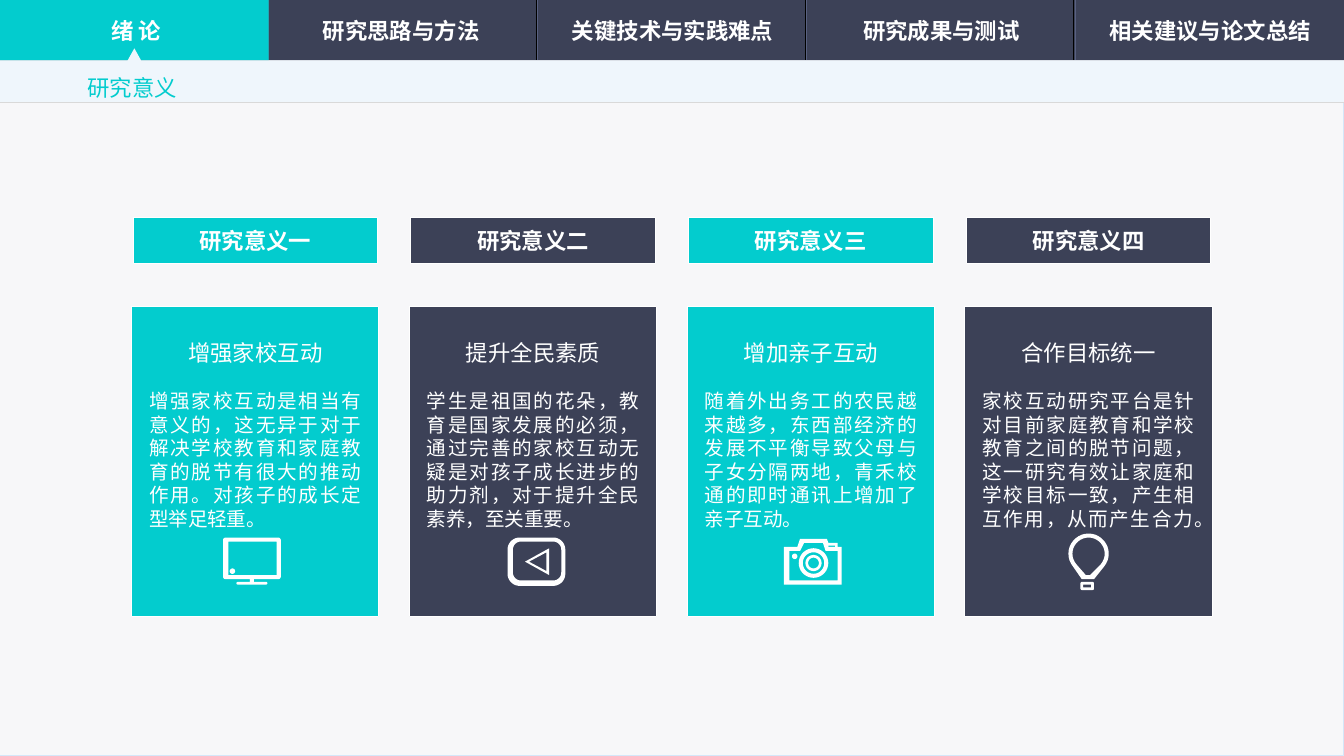
from dataclasses import dataclass
from math import cos, radians, sin

from lxml.etree import SubElement
from pptx import Presentation
from pptx.dml.color import RGBColor
from pptx.enum.shapes import MSO_CONNECTOR, MSO_SHAPE
from pptx.enum.text import MSO_ANCHOR, MSO_AUTO_SIZE, PP_ALIGN
from pptx.oxml.ns import qn
from pptx.util import Inches, Pt

Contour = list[tuple[float, float]]


@dataclass(frozen=True)
class Theme:
    teal: str = "03CCCE"
    navy: str = "3C4157"
    white: str = "FFFFFF"
    page: str = "F7F7F9"
    page_edge: str = "D4E7F9"
    strip: str = "EFF6FC"
    strip_edge: str = "D9D9D9"
    groove_dark: str = "000000"
    groove_light: str = "596181"
    font: str = "Noto Sans CJK SC"
    label_font: str = "Roboto Condensed"
    heading_size: float = 12
    body_size: float = 10.5
    leading: float = 1.2


THEME = Theme()


@dataclass(frozen=True)
class Tab:
    left: float
    label: str


@dataclass(frozen=True)
class Card:
    label: str
    heading: str
    body: str
    color: str
    icon_left: float
    icon_top: float
    icon: list[Contour]


def arc(cx: float, cy: float, r: float, start: int, end: int) -> Contour:
    """Points along an arc in degrees, clockwise from the right."""
    return [(cx + r * cos(radians(a)), cy + r * sin(radians(a)))
            for a in range(start, end + 1, 10)]


def circle(cx: float, cy: float, r: float) -> Contour:
    return arc(cx, cy, r, 0, 350)


def box(left: float, top: float, width: float, height: float, r: float = 0) -> Contour:
    if not r:
        return [(left, top), (left + width, top),
                (left + width, top + height), (left, top + height)]
    x1, x2 = left + r, left + width - r
    y1, y2 = top + r, top + height - r
    return (arc(x1, y1, r, 180, 270) + arc(x2, y1, r, 270, 360)
            + arc(x2, y2, r, 0, 90) + arc(x1, y2, r, 90, 180))


MONITOR = [box(0, 0, 0.43, 0.31, 0.02), box(0.04, 0.03, 0.36, 0.25),
           circle(0.07, 0.25, 0.02), box(0.2, 0.31, 0.03, 0.02),
           box(0.1, 0.33, 0.23, 0.02, 0.01)]
PLAYER = [box(0, 0, 0.43, 0.36, 0.09), box(0.04, 0.03, 0.36, 0.29, 0.06),
          [(0.13, 0.18), (0.31, 0.08), (0.31, 0.28)],
          [(0.16, 0.18), (0.29, 0.11), (0.29, 0.25)]]
CAMERA = [[(0, 0.06), (0.1, 0.06), (0.12, 0), (0.32, 0), (0.33, 0.03),
           (0.4, 0.03), (0.4, 0.06), (0.43, 0.06), (0.43, 0.34), (0, 0.34)],
          [(0.04, 0.09), (0.12, 0.09), (0.15, 0.03), (0.29, 0.03),
           (0.31, 0.09), (0.4, 0.09), (0.4, 0.31), (0.04, 0.31)],
          box(0.33, 0.05, 0.05, 0.01), circle(0.08, 0.13, 0.02),
          *(circle(0.22, 0.18, r) for r in (0.11, 0.08, 0.06, 0.04))]
BULB = [arc(0.15, 0.15, 0.15, 140, 400) + [(0.19, 0.34), (0.1, 0.34)],
        arc(0.15, 0.15, 0.12, 140, 400) + [(0.16, 0.31), (0.13, 0.31)],
        box(0.09, 0.36, 0.1, 0.06, 0.01), box(0.11, 0.38, 0.06, 0.02)]

TABS = [Tab(0.02, "绪 论"), Tab(1.99, "研究思路与方法"), Tab(4.01, "关键技术与实践难点"),
        Tab(6.01, "研究成果与测试"), Tab(8.01, "相关建议与论文总结")]
CARDS = [
    Card("研究意义一", "增强家校互动",
         "增强家校互动是相当有意义的，这无异于对于解决学校教育和家庭教育的脱节有很大的推动作用。对孩子的成长定型举足轻重。",
         THEME.teal, 0.68, 4, MONITOR),
    Card("研究意义二", "提升全民素质",
         "学生是祖国的花朵，教育是国家发展的必须，通过完善的家校互动无疑是对孩子成长进步的助力剂，对于提升全民素养，至关重要。",
         THEME.navy, 0.73, 4, PLAYER),
    Card("研究意义三", "增加亲子互动",
         "随着外出务工的农民越来越多，东西部经济的发展不平衡导致父母与子女分隔两地，青禾校通的即时通讯上增加了亲子互动。",
         THEME.teal, 0.72, 4.01, CAMERA),
    Card("研究意义四", "合作目标统一",
         "家校互动研究平台是针对目前家庭教育和学校教育之间的脱节问题，这一研究有效让家庭和学校目标一致，产生相互作用，从而产生合力。",
         THEME.navy, 0.77, 3.97, BULB),
]


def style(paragraph, size: float, color: str, align=PP_ALIGN.CENTER,
          bold: bool = False, font: str = THEME.font) -> None:
    paragraph.alignment = align
    paragraph.font.size = Pt(size)
    paragraph.font.bold = bold
    paragraph.font.color.rgb = RGBColor.from_string(color)
    paragraph.font.name = font
    defaults = paragraph._p.pPr.find(qn("a:defRPr"))
    SubElement(defaults, qn("a:ea"), typeface=THEME.font)


def paint(shape, fill: str | None, edge: str | None = None) -> None:
    shape.shadow.inherit = False
    if fill:
        shape.fill.solid()
        shape.fill.fore_color.rgb = RGBColor.from_string(fill)
    else:
        shape.fill.background()
    if edge:
        shape.line.color.rgb = RGBColor.from_string(edge)
        shape.line.width = Pt(0.5)
    else:
        shape.line.fill.background()


def add_panel(shapes, left: float, top: float, width: float, height: float,
              fill: str | None, edge: str | None = None,
              label: str = "", font: str = THEME.font) -> None:
    panel = shapes.add_shape(MSO_SHAPE.RECTANGLE, Inches(left), Inches(top),
                             Inches(width), Inches(height))
    paint(panel, fill, edge)
    if label:
        panel.text_frame.text = label
        panel.text_frame.vertical_anchor = MSO_ANCHOR.MIDDLE
        style(panel.text_frame.paragraphs[0], THEME.heading_size, THEME.white,
              bold=True, font=font)


def add_rule(shapes, x1: float, y1: float, x2: float, y2: float,
             color: str, weight: float) -> None:
    rule = shapes.add_connector(MSO_CONNECTOR.STRAIGHT, Inches(x1), Inches(y1),
                                Inches(x2), Inches(y2))
    rule.line.color.rgb = RGBColor.from_string(color)
    rule.line.width = Pt(weight)
    SubElement(rule._element.spPr, qn("a:effectLst"))


def add_outline(shapes, left: float, top: float, contours: list[Contour], fill: str) -> None:
    """Draw all contours as one freeform; nested ones become holes."""
    placed = [[(Inches(left + x), Inches(top + y)) for x, y in contour]
              for contour in contours]
    builder = shapes.build_freeform(*placed[0][0])
    for number, points in enumerate(placed):
        if number:
            builder.move_to(*points[0])
        builder.add_line_segments(points[1:], close=True)
    paint(builder.convert_to_shape(), fill)


def add_navigation(shapes) -> None:
    add_panel(shapes, 0, 0, 10, 0.45, THEME.navy)
    for number in range(1, len(TABS)):
        x = 2 * number - 0.01
        add_rule(shapes, x, 0, x, 0.45, THEME.groove_dark, 0.5)
        add_rule(shapes, x + 0.01, 0, x + 0.01, 0.45, THEME.groove_light, 0.75)
    add_panel(shapes, 0, 0.76, 10, 4.86, THEME.page, THEME.page_edge)
    add_panel(shapes, 0, 0, 2, 0.45, THEME.teal)
    add_outline(shapes, 0, 0.36, [[(1, 0), (1.05, 0.09), (10, 0.09), (10, 0.4),
                                   (0, 0.4), (0, 0.09), (0.95, 0.09)]], THEME.strip)
    add_rule(shapes, 0, 0.76, 10, 0.76, THEME.strip_edge, 0.5)
    for tab in TABS:
        add_panel(shapes, tab.left, 0.07, 1.99, 0.31, None, label=tab.label)


def add_card(shapes, left: float, card: Card) -> None:
    add_panel(shapes, left + 0.01, 1.62, 1.82, 0.34, card.color, THEME.white,
              card.label, THEME.label_font)
    add_panel(shapes, left, 2.28, 1.84, 2.31, card.color, THEME.white)
    frame = shapes.add_textbox(Inches(left + 0.13), Inches(2.52),
                               Inches(1.58), Inches(1.44)).text_frame
    frame.word_wrap = True
    frame.margin_left = frame.margin_right = frame.margin_top = frame.margin_bottom = 0
    heading, body = frame.paragraphs[0], frame.add_paragraph()
    heading.text, body.text = card.heading, card.body
    style(heading, THEME.heading_size, THEME.white)
    style(body, THEME.body_size, THEME.white, PP_ALIGN.JUSTIFY)
    heading.line_spacing = Pt(THEME.heading_size * THEME.leading)
    body.line_spacing = body.space_before = Pt(THEME.body_size * THEME.leading)
    add_outline(shapes, left + card.icon_left, card.icon_top, card.icon, THEME.white)


def place_title(shapes, text: str) -> None:
    title = shapes.title
    title.left, title.top = Inches(0.55), Inches(0.4)
    title.width, title.height = Inches(0.88), Inches(0.4)
    frame = title.text_frame
    frame.text = text
    frame.word_wrap = False
    frame.auto_size = MSO_AUTO_SIZE.NONE
    frame.vertical_anchor = MSO_ANCHOR.MIDDLE
    style(frame.paragraphs[0], THEME.heading_size, THEME.teal, PP_ALIGN.LEFT)
    frame.paragraphs[0].line_spacing = 1.5
    shapes.element.append(title.element)  # in front of the strip


def main() -> None:
    deck = Presentation()
    deck.slide_width = Inches(10)
    deck.slide_height = deck.slide_width * 9 // 16
    shapes = deck.slides.add_slide(deck.slide_layouts[5]).shapes
    add_navigation(shapes)
    first_left, last_left = 0.98, 7.18
    pitch = (last_left - first_left) / (len(CARDS) - 1)
    for number, card in enumerate(CARDS):
        add_card(shapes, first_left + pitch * number, card)
    place_title(shapes, "研究意义")
    deck.save("out.pptx")


if __name__ == "__main__":
    main()
